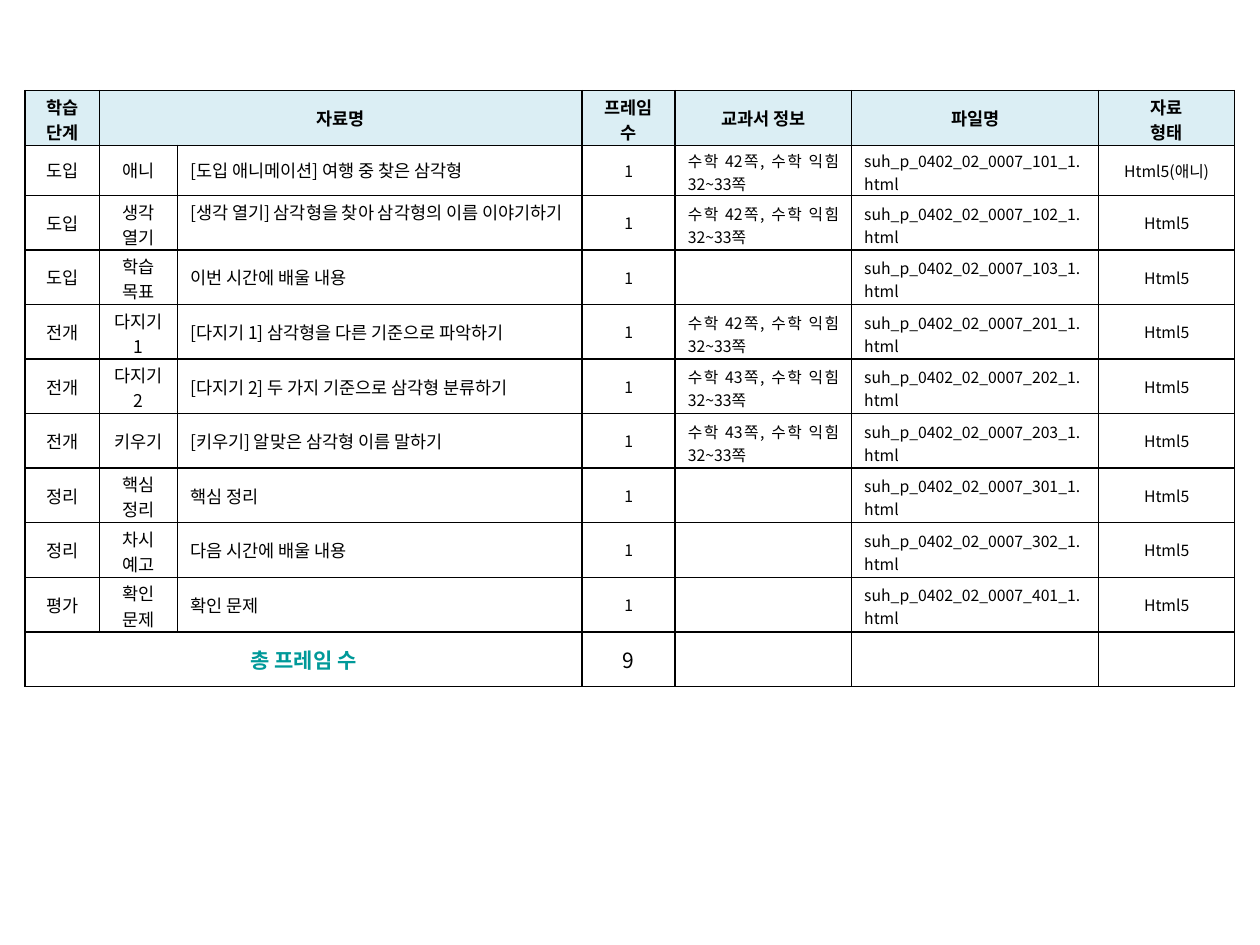
from lxml.etree import SubElement
from pptx import Presentation
from pptx.dml.color import RGBColor
from pptx.enum.text import MSO_ANCHOR as Anchor, PP_ALIGN as Align
from pptx.oxml.ns import qn
from pptx.util import Inches, Pt

FONT = "Noto Sans CJK KR"
BLACK = RGBColor(0x00, 0x00, 0x00)
TEAL = RGBColor(0x00, 0x99, 0x99)
PALE_BLUE = RGBColor(0xDB, 0xEE, 0xF4)

# Content
HEADER = ["학습 단계", "자료명", "", "프레임 수", "교과서 정보", "파일명", "자료\n형태"]
PAGE_42 = "수학 42쪽, 수학 익힘 32~33쪽"
PAGE_43 = "수학 43쪽, 수학 익힘 32~33쪽"
# stage, activity, material, textbook pages, file number, format
LESSONS = [
    ("도입", "애니", "[도입 애니메이션] 여행 중 찾은 삼각형", PAGE_42, 101, "Html5(애니)"),
    ("도입", "생각 열기", "[생각 열기] 삼각형을 찾아 삼각형의 이름 이야기하기", PAGE_42, 102, "Html5"),
    ("도입", "학습 목표", "이번 시간에 배울 내용", "", 103, "Html5"),
    ("전개", "다지기 1", "[다지기 1] 삼각형을 다른 기준으로 파악하기", PAGE_42, 201, "Html5"),
    ("전개", "다지기 2", "[다지기 2] 두 가지 기준으로 삼각형 분류하기", PAGE_43, 202, "Html5"),
    ("전개", "키우기", "[키우기] 알맞은 삼각형 이름 말하기", PAGE_43, 203, "Html5"),
    ("정리", "핵심 정리", "핵심 정리", "", 301, "Html5"),
    ("정리", "차시 예고", "다음 시간에 배울 내용", "", 302, "Html5"),
    ("평가", "확인 문제", "확인 문제", "", 401, "Html5"),
]
TOTAL = ["총 프레임 수", "", "", str(len(LESSONS)), "", "", ""]

# Layout
COLUMNS = [0.59, 0.62, 3.21, 0.74, 1.4, 1.96, 1.08]
ALIGNS = [Align.CENTER, Align.CENTER, Align.LEFT, Align.CENTER,
          Align.JUSTIFY, Align.JUSTIFY, Align.CENTER]
SIZES = [10, 10, 10, 9, 9, 9, 9]
LEFT, TOP, WIDTH, HEIGHT = 0.2, 0.72, 9.6, 4.73
SIDE_MARGIN, EDGE_MARGIN = 0.1, 0.05
ROW_COUNT = len(LESSONS) + 2
FIRST_LESSON_HEIGHT = 0.4
ROW_HEIGHT = (HEIGHT - FIRST_LESSON_HEIGHT) / (ROW_COUNT - 1)
LINE_EM = 1.46  # line height in ems


def needs_two_lines(text, size, width):
    if "\n" in text:
        return True
    ems = sum(0.22 if c == " " else 0.55 if c.isascii() else 1 for c in text)
    return ems * size / 72 > width - 2 * SIDE_MARGIN


def add_borders(cell):
    properties = cell._tc.get_or_add_tcPr()
    for side in ("a:lnL", "a:lnR", "a:lnT", "a:lnB"):
        line = SubElement(properties, qn(side), w=str(Pt(1)))
        SubElement(SubElement(line, qn("a:solidFill")), qn("a:srgbClr"), val=str(BLACK))


def write_cell(cell, text, size, align, width, height=ROW_HEIGHT,
               bold=False, color=BLACK, fill=None):
    cell.margin_left = cell.margin_right = Inches(SIDE_MARGIN)
    if needs_two_lines(text, size, width):  # keep both lines inside the fixed row
        spare = height - 2 * LINE_EM * size / 72
        cell.vertical_anchor = Anchor.TOP
        cell.margin_top, cell.margin_bottom = Inches(min(EDGE_MARGIN, spare)), 0
    else:
        cell.vertical_anchor = Anchor.MIDDLE
        cell.margin_top = cell.margin_bottom = Inches(EDGE_MARGIN)
    add_borders(cell)
    if fill is None:
        cell.fill.background()
    else:
        cell.fill.solid()
        cell.fill.fore_color.rgb = fill

    frame = cell.text_frame
    for index, words in enumerate(text.split("\n")):
        paragraph = frame.add_paragraph() if index else frame.paragraphs[0]
        paragraph.alignment = align
        if not words:  # keeps an empty cell from stretching its row
            SubElement(paragraph._p, qn("a:endParaRPr"), sz=str(size * 100))
            continue
        run = paragraph.add_run()
        run.text = words
        run.font.name = FONT
        run.font.size = Pt(size)
        run.font.bold = bold
        run.font.color.rgb = color
        SubElement(run._r.get_or_add_rPr(), qn("a:ea"), typeface=FONT)


def main():
    prs = Presentation()
    prs.slide_width, prs.slide_height = Inches(10), Inches(7.5)
    slide = prs.slides.add_slide(prs.slide_layouts[6])

    # Table grid
    table = slide.shapes.add_table(ROW_COUNT, len(COLUMNS), Inches(LEFT), Inches(TOP),
                                   Inches(WIDTH), Inches(HEIGHT)).table
    table.first_row = table.horz_banding = False
    for column, width in zip(table.columns, COLUMNS):
        column.width = Inches(width)
    heights = [ROW_HEIGHT] * ROW_COUNT
    heights[1] = FIRST_LESSON_HEIGHT
    for row, height in zip(table.rows, heights):
        row.height = Inches(height)

    # Header row
    for col, (label, width) in enumerate(zip(HEADER, COLUMNS)):
        write_cell(table.cell(0, col), label, 10, Align.CENTER, width,
                   bold=True, fill=PALE_BLUE)
    table.cell(0, 1).merge(table.cell(0, 2))

    # Lesson rows
    for row, (stage, activity, material, pages, number, kind) in enumerate(LESSONS, 1):
        file_name = f"suh_p_0402_02_0007_{number}_1.html"
        values = (stage, activity, material, "1", pages, file_name, kind)
        for col, (value, size, align, width) in enumerate(
                zip(values, SIZES, ALIGNS, COLUMNS)):
            write_cell(table.cell(row, col), value, size, align, width, heights[row])

    # Total row
    last = ROW_COUNT - 1
    for col, value in enumerate(TOTAL):
        is_label = col == 0
        width = sum(COLUMNS[:3]) if is_label else COLUMNS[col]
        write_cell(table.cell(last, col), value, 12, Align.CENTER, width,
                   bold=is_label, color=TEAL if is_label else BLACK)
    table.cell(last, 0).merge(table.cell(last, 2))

    prs.save("out.pptx")


if __name__ == "__main__":
    main()
